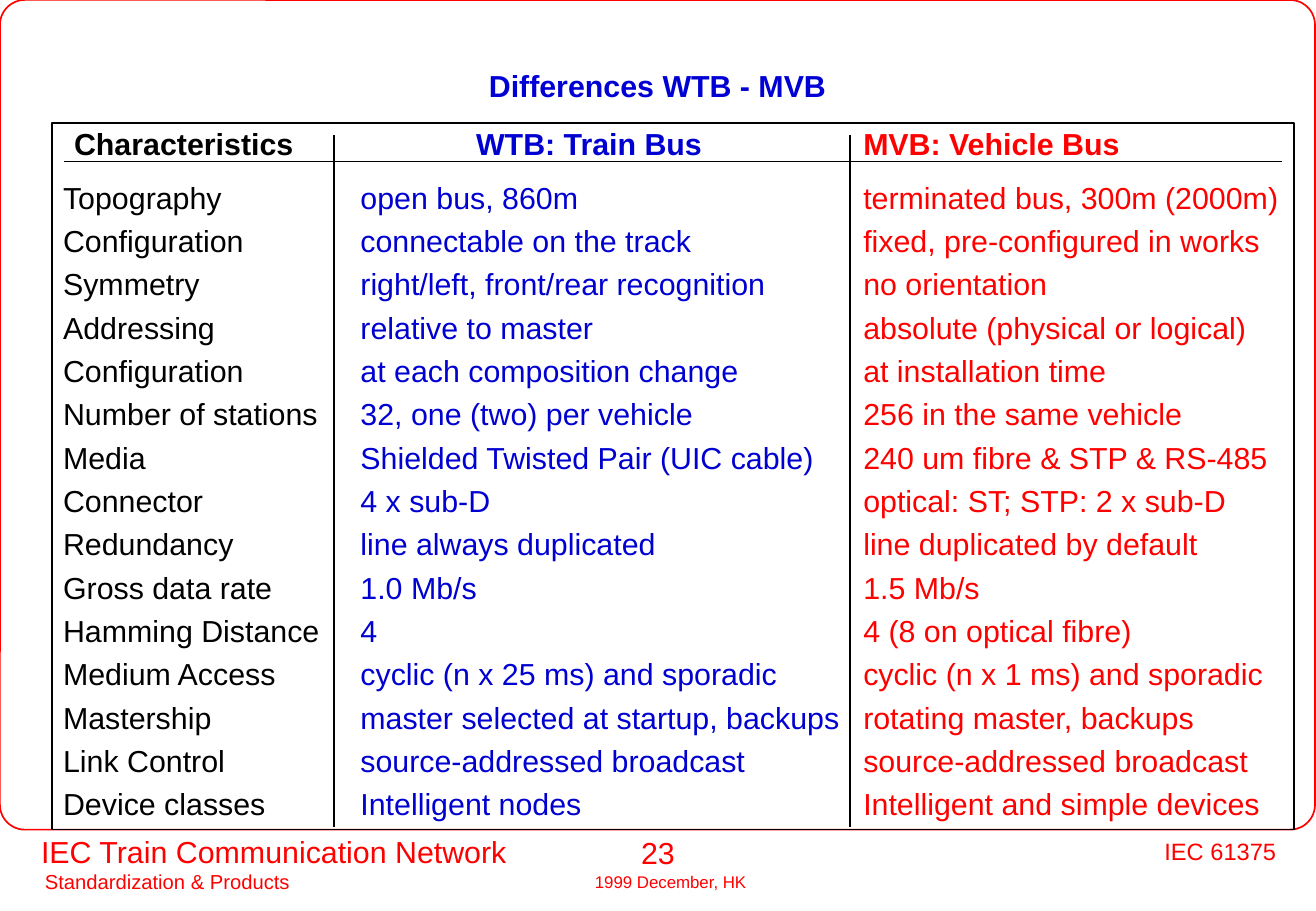
import pptx
import pptx.dml.color
import pptx.enum.shapes
import pptx.enum.text
import pptx.util
from lxml import etree

Cm = pptx.util.Cm
Pt = pptx.util.Pt
ALIGN = pptx.enum.text.PP_ALIGN
ANCHOR = pptx.enum.text.MSO_ANCHOR
SHAPE = pptx.enum.shapes.MSO_SHAPE

COLORS = {"black": "000000", "title": "0000D4", "wtb": "0000D1", "red": "FF0000"}
NO_GRID_STYLE = "{2D5ABB26-0587-4C30-8999-92F81FD0307C}"

HEADERS = ("Characteristics", "WTB: Train Bus", "MVB: Vehicle Bus")
ROWS = [
    ("Topography", "open bus, 860m", "terminated bus, 300m (2000m)"),
    ("Configuration", "connectable on the track", "fixed, pre-configured in works"),
    ("Symmetry", "right/left, front/rear recognition", "no orientation"),
    ("Addressing", "relative to master", "absolute (physical or logical)"),
    ("Configuration", "at each composition change", "at installation time"),
    ("Number of stations", "32, one (two) per vehicle", "256 in the same vehicle"),
    ("Media", "Shielded Twisted Pair (UIC cable)", "240 um fibre & STP & RS-485"),
    ("Connector", "4 x sub-D", "optical: ST; STP: 2 x sub-D"),
    ("Redundancy", "line always duplicated", "line duplicated by default"),
    ("Gross data rate", "1.0 Mb/s", "1.5 Mb/s"),
    ("Hamming Distance", "4", "4 (8 on optical fibre)"),
    ("Medium Access", "cyclic (n x 25 ms) and sporadic", "cyclic (n x 1 ms) and sporadic"),
    ("Mastership", "master selected at startup, backups", "rotating master, backups"),
    ("Link Control", "source-addressed broadcast", "source-addressed broadcast"),
    ("Device classes", "Intelligent nodes", "Intelligent and simple devices"),
]
# width, header indent, body indent, colour
COLUMNS = [
    (5.9, 0.46, 0.23, "black"),
    (10.79, 2.97, 0.55, "wtb"),
    (9.29, 0.28, 0.28, "red"),
]


def rgb(color):
    return pptx.dml.color.RGBColor.from_string(COLORS[color])


def add_run(p, text, size, color, bold=False):
    r = p.add_run()
    r.text = text
    r.font.name = "Arial"
    r.font.size = Pt(size)
    r.font.bold = bold
    r.font.color.rgb = rgb(color)


def add_text(slide, box, text, size, align=ALIGN.LEFT):
    tf = slide.shapes.add_textbox(*map(Cm, box)).text_frame
    tf.word_wrap = True
    p = tf.paragraphs[0]
    p.alignment = align
    add_run(p, text, size, "red")


def add_frame(slide, kind, box, color):
    sp = slide.shapes.add_shape(kind, *map(Cm, box))
    sp.shadow.inherit = False
    sp.fill.background()
    sp.line.color.rgb = rgb(color)
    sp.line.width = Pt(1)
    return sp


def add_rule(slide, x1, y1, x2, y2):
    line = slide.shapes.add_connector(
        pptx.enum.shapes.MSO_CONNECTOR.STRAIGHT, Cm(x1), Cm(y1), Cm(x2), Cm(y2))
    line.line.color.rgb = rgb("black")
    line.line.width = Pt(1)
    sp_pr = line._element.spPr
    etree.SubElement(sp_pr, pptx.oxml.ns.qn("a:effectLst"))


def add_title(slide, box):
    title = slide.shapes.title
    title.left, title.top, title.width, title.height = map(Cm, box)
    tf = title.text_frame
    tf.auto_size = pptx.enum.text.MSO_AUTO_SIZE.NONE
    tf.vertical_anchor = ANCHOR.MIDDLE
    p = tf.paragraphs[0]
    p.alignment = ALIGN.CENTER
    p.line_spacing = 0.9
    add_run(p, "Differences WTB - MVB", 18, "title", True)


def add_comparison(slide, box):
    """Frame, borderless table and the three rules between its cells."""
    left, top, width, height = box
    header_height = 1.13
    table_height = height - 0.05
    row_height = (table_height - header_height) / len(ROWS)

    table = slide.shapes.add_table(
        len(ROWS) + 1, len(COLUMNS), *map(Cm, (left, top, width, table_height))).table
    table.first_row = table.horz_banding = False
    table._tbl.tblPr.find(pptx.oxml.ns.qn("a:tableStyleId")).text = NO_GRID_STYLE
    for i, texts in enumerate([HEADERS] + ROWS):
        is_header = i == 0
        table.rows[i].height = Cm(header_height if is_header else row_height)
        for j, (col_width, header_indent, indent, color) in enumerate(COLUMNS):
            table.columns[j].width = Cm(col_width)
            cell = table.cell(i, j)
            cell.fill.background()
            cell.margin_left = Cm(header_indent if is_header else indent)
            cell.margin_right = cell.margin_bottom = 0
            cell.margin_top = Cm(0.1 if is_header else 0)
            cell.vertical_anchor = ANCHOR.TOP if is_header else ANCHOR.MIDDLE
            add_run(cell.text_frame.paragraphs[0], texts[j], 18, color, is_header)

    x = left
    for col_width, *_ in COLUMNS[:-1]:
        x += col_width
        add_rule(slide, x, top + 0.25, x, top + table_height)
    add_rule(slide, left + 0.25, top + 0.81, left + width - 0.25, top + 0.81)
    add_frame(slide, SHAPE.RECTANGLE, box, "black")


def add_footer(slide, box):
    left, top, width, height = box
    middle = left + width / 2
    add_text(slide, (left + 0.61, top, 11, 1), "IEC Train Communication Network", 18)
    add_text(slide, (left + 0.69, top + 0.76, 7, 0.76), "Standardization & Products", 12)
    add_text(slide, (middle - 0.85, top + 0.02, 1.7, 1), "23", 18, ALIGN.CENTER)
    add_text(slide, (middle - 1.57, top + 0.81, 5, 0.66), "1999 December, HK", 10)
    add_text(slide, (left + width - 4.58, top + 0.07, 4, 0.84), "IEC 61375", 14, ALIGN.RIGHT)


def main():
    prs = pptx.Presentation()
    prs.slide_width, prs.slide_height = Cm(27.53), Cm(19.05)
    slide = prs.slides.add_slide(prs.slide_layouts[5])
    outline = add_frame(slide, SHAPE.ROUNDED_RECTANGLE, (0, 0, 27.51, 17.35), "red")
    outline.adjustments[0] = 0.03
    add_footer(slide, (0, 17.3, 27.53, 1.75))
    add_title(slide, (0.46, 1.12, 26.59, 1.42))
    add_comparison(slide, (1.09, 2.57, 25.98, 14.78))
    prs.save("out.pptx")


if __name__ == "__main__":
    main()
